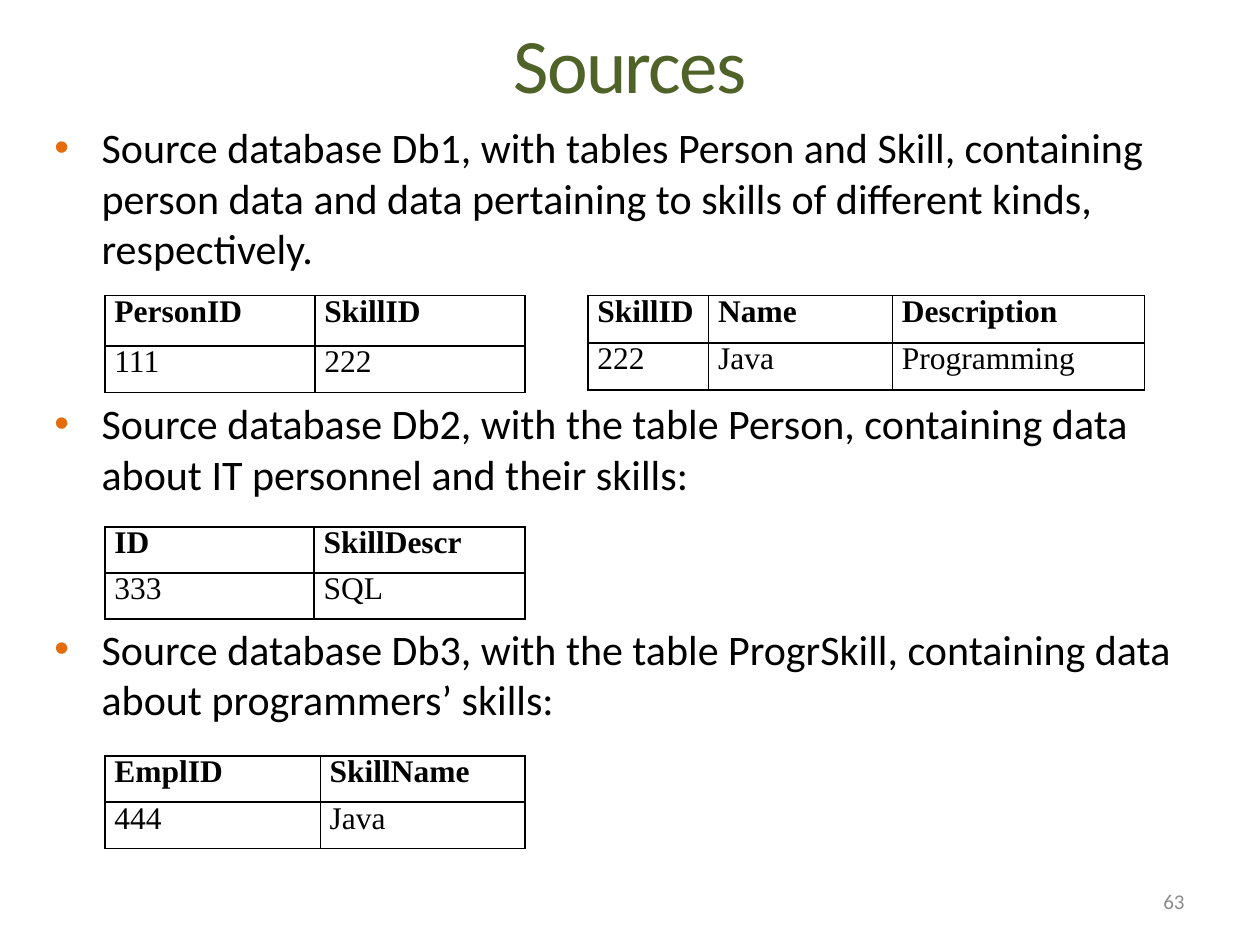
import pptx
import pptx.dml.color
import pptx.enum.text
import pptx.oxml
import pptx.oxml.ns
import pptx.util
from lxml import etree

Pt = pptx.util.Pt
Align = pptx.enum.text.PP_ALIGN
Anchor = pptx.enum.text.MSO_ANCHOR
RGBColor = pptx.dml.color.RGBColor

BLACK = RGBColor(0x00, 0x00, 0x00)
GREEN = RGBColor(0x4F, 0x62, 0x28)
ORANGE = RGBColor(0xE4, 0x6C, 0x0A)
GREY = RGBColor(0x8C, 0x8C, 0x8C)

TABLE_LEFT = 60
ROW_HEIGHT = 26.4


def add_element(parent, tag, **attributes):
    return etree.SubElement(parent, pptx.oxml.ns.qn(tag), attributes)


class SlideBuilder:
    text_font = "Calibri"
    table_font = "Times New Roman"
    table_size = 18
    body_size = 24
    indent = 27

    def __init__(self, slide):
        self.slide = slide

    def style(self, para, font, size, color, bold=False):
        for span in para.runs:
            span.font.name = font
            span.font.size = Pt(size)
            span.font.color.rgb = color
            span.font.bold = bold

    def frame(self, left, top, width, height, anchor):
        box = self.slide.shapes.add_textbox(Pt(left), Pt(top), Pt(width), Pt(height))
        box.text_frame.word_wrap = True
        box.text_frame.vertical_anchor = anchor
        return box.text_frame

    def label(self, text, area, size, color, align, spacing=0):
        """Add one line of text; spacing is in hundredths of a point."""
        frame = self.frame(*area, Anchor.MIDDLE)
        frame.text = text
        para = frame.paragraphs[0]
        para.alignment = align
        self.style(para, self.text_font, size, color)
        if spacing:
            para.runs[0]._r.get_or_add_rPr().set("spc", str(spacing))

    def bullets(self, items, area, gap):
        """Add a bulleted list whose gaps leave room for the tables."""
        frame = self.frame(*area, Anchor.TOP)
        for index, item in enumerate(items):
            para = frame.paragraphs[0] if index == 0 else frame.add_paragraph()
            para.text = item
            para.space_before = Pt(gap if index else 0)
            properties = para._p.get_or_add_pPr()
            properties.set("marL", str(Pt(self.indent)))
            properties.set("indent", str(-Pt(self.indent)))
            bullet_color = add_element(properties, "a:buClr")
            add_element(bullet_color, "a:srgbClr", val=str(ORANGE))
            add_element(properties, "a:buFont", typeface="Arial")
            add_element(properties, "a:buChar", char="•")
            self.style(para, self.text_font, self.body_size, BLACK)

    def border(self, cell):
        properties = cell._tc.get_or_add_tcPr()
        for side in ("a:lnL", "a:lnR", "a:lnT", "a:lnB"):
            line = add_element(properties, side, w=str(Pt(1)))
            fill = add_element(line, "a:solidFill")
            add_element(fill, "a:srgbClr", val=str(BLACK))

    def table(self, rows, left, top, widths, heights=(ROW_HEIGHT, ROW_HEIGHT)):
        table = self.slide.shapes.add_table(
            len(rows), len(widths), Pt(left), Pt(top), Pt(sum(widths)), Pt(sum(heights))
        ).table
        table.first_row = table.horz_banding = False
        for column, width in zip(table.columns, widths):
            column.width = Pt(width)
        for row_index, (values, height) in enumerate(zip(rows, heights)):
            table.rows[row_index].height = Pt(height)
            for column_index, value in enumerate(values):
                cell = table.cell(row_index, column_index)
                cell.text = value
                cell.margin_left = cell.margin_right = Pt(5.4)
                cell.margin_top = cell.margin_bottom = Pt(7.2)
                self.border(cell)
                cell.fill.background()
                para = cell.text_frame.paragraphs[0]
                para.line_spacing = Pt(12)
                self.style(para, self.table_font, self.table_size, BLACK, row_index == 0)


def main():
    deck = pptx.Presentation()
    deck.slide_width, deck.slide_height = Pt(720), Pt(540)
    page = SlideBuilder(deck.slides.add_slide(deck.slide_layouts[6]))

    page.label("Sources", (36, 0, 648, 72), 44, GREEN, Align.CENTER, spacing=-100)
    page.bullets(
        [
            "Source database Db1, with tables Person and Skill, containing person data "
            "and data pertaining to skills of different kinds, respectively.",
            "Source database Db2, with the table Person, containing data about IT "
            "personnel and their skills:",
            "Source database Db3, with the table ProgrSkill, containing data about "
            "programmers’ skills:",
        ],
        (24, 66, 684, 426),
        gap=71.3,
    )
    page.table([("PersonID", "SkillID"), ("111", "222")],
               TABLE_LEFT, 169, (120, 120), (28.8, ROW_HEIGHT))
    page.table([("SkillID", "Name", "Description"), ("222", "Java", "Programming")],
               336, 169, (69, 105, 144), (27, 27))
    page.table([("ID", "SkillDescr"), ("333", "SQL")], TABLE_LEFT, 301, (119.5, 120.5))
    page.table([("EmplID", "SkillName"), ("444", "Java")], TABLE_LEFT, 432, (123, 117))
    page.label("63", (516, 500.5, 168, 28.8), 12, GREY, Align.RIGHT)

    deck.save("out.pptx")


if __name__ == "__main__":
    main()
